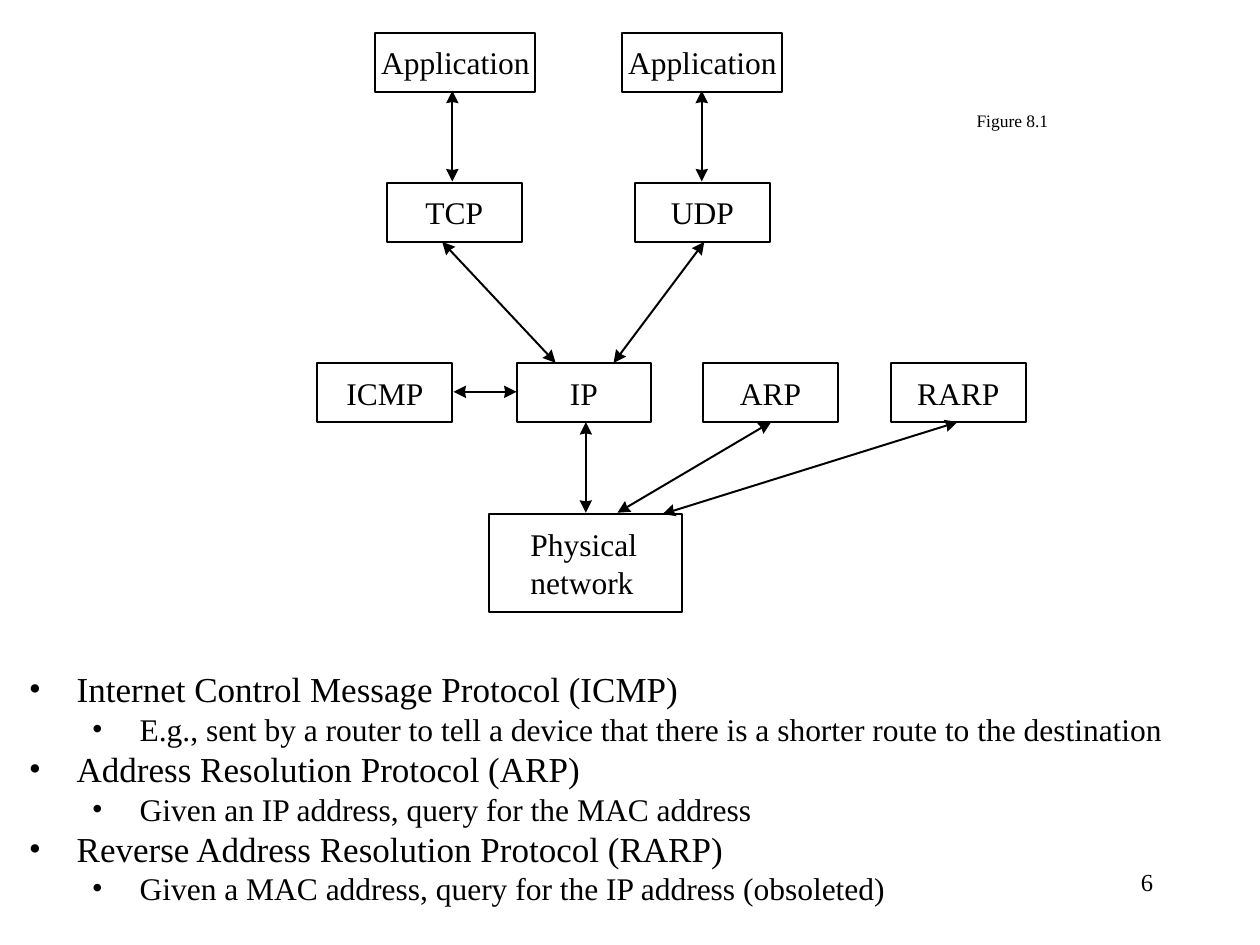
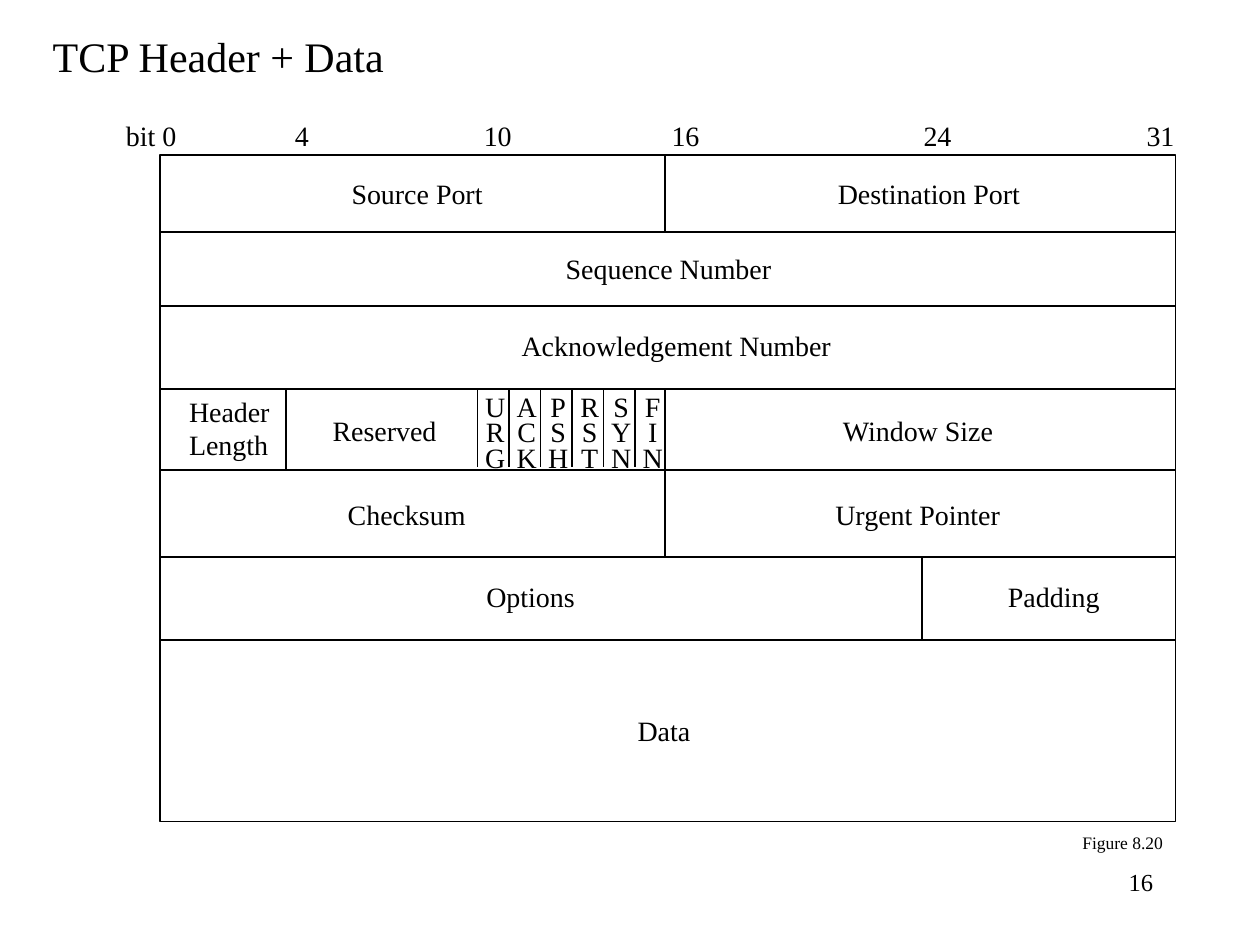
from dataclasses import dataclass
from math import hypot

from lxml.etree import SubElement
from pptx import Presentation
from pptx.dml.color import RGBColor
from pptx.enum.shapes import MSO_CONNECTOR, MSO_SHAPE
from pptx.enum.text import MSO_ANCHOR, PP_ALIGN
from pptx.oxml.ns import qn
from pptx.util import Inches, Pt


@dataclass(frozen=True)
class Theme:
    font: str = "Times New Roman"
    ink: RGBColor = RGBColor(0, 0, 0)
    title: int = 24
    topic: int = 20
    detail: int = 18
    field: int = 16
    number: int = 14
    caption: int = 10
    diagram_line: float = 1.13
    header_line: float = 1


THEME = Theme()

BOX_HEIGHT = 0.47
APPLICATION_WIDTH, PROTOCOL_WIDTH = 1.27, 1.07
APPLICATION_TOP, TRANSPORT_TOP, NETWORK_TOP = 0.26, 1.45, 2.88
PROTOCOL_BOXES = [
    ("Application", 2.98, APPLICATION_TOP, APPLICATION_WIDTH),
    ("Application", 4.94, APPLICATION_TOP, APPLICATION_WIDTH),
    ("TCP", 3.07, TRANSPORT_TOP, PROTOCOL_WIDTH),
    ("UDP", 5.04, TRANSPORT_TOP, PROTOCOL_WIDTH),
    ("ICMP", 2.52, NETWORK_TOP, PROTOCOL_WIDTH),
    ("IP", 4.1, NETWORK_TOP, PROTOCOL_WIDTH),
    ("ARP", 5.58, NETWORK_TOP, PROTOCOL_WIDTH),
    ("RARP", 7.07, NETWORK_TOP, PROTOCOL_WIDTH),
]
PHYSICAL_BOX = (3.88, 4.08, 1.53, 0.78)
PHYSICAL_INDENT = 0.33
PROTOCOL_ARROWS = [
    ((3.59, 0.72), (3.59, 1.44)),
    ((5.57, 0.72), (5.57, 1.44)),
    ((3.51, 1.92), (4.41, 2.88)),
    ((5.59, 1.92), (4.87, 2.88)),
    ((3.6, 3.11), (4.1, 3.11)),
    ((4.65, 3.35), (4.65, 4.07)),
    ((6.12, 3.35), (4.9, 4.07)),
    ((7.6, 3.35), (5.26, 4.08)),
]
HEAD_OUTLINE = [(0, 0), (0.1, 0.05), (0.09, 0), (0.1, -0.05)]
HEAD_OVERLAP = 0.08
PROTOCOL_NOTES = [
    ("Internet Control Message Protocol (ICMP)",
     "E.g., sent by a router to tell a device that there is a shorter route to the destination"),
    ("Address Resolution Protocol (ARP)",
     "Given an IP address, query for the MAC address"),
    ("Reverse Address Resolution Protocol (RARP)",
     "Given a MAC address, query for the IP address (obsoleted)"),
]

HEADER_LEFT, HEADER_RIGHT = 1.27, 9.33
HEADER_TOP, HEADER_BOTTOM = 1.23, 6.52
ROW_LINES = [1.84, 2.43, 3.09, 3.73, 4.42, 5.08]
FLAGS_TOP, FLAGS_BOTTOM = 3.09, 3.71
FLAGS = ["URG", "ACK", "PSH", "RST", "SYN", "FIN"]
FLAGS_LEFT, FLAG_PITCH = 3.79, 0.25
COLUMN_LINES = [
    (5.28, HEADER_TOP, 1.84),
    (5.28, 3.09, 4.42),
    (7.32, 4.42, 5.07),
    (2.27, FLAGS_TOP, 3.73),
]
BIT_TOP = 0.94
BIT_LABELS = [
    ("bit 0", 1, 0.5), ("4", 2.34, 0.3), ("10", 3.84, 0.3),
    ("16", 5.33, 0.3), ("24", 7.33, 0.3), ("31", 9.1, 0.3),
]
FIELD_LABELS = [
    ("Source Port", 2.79, 1.4, 1.1),
    ("Destination Port", 6.65, 1.4, 1.5),
    ("Sequence Number", 4.49, 2, 1.64),
    ("Acknowledgement Number", 4.14, 2.61, 2.47),
    ("Header\nLength", 1.5, 3.13, 0.65),
    ("Reserved", 2.64, 3.28, 0.83),
    ("Window Size", 6.69, 3.28, 1.2),
    ("Checksum", 2.76, 3.95, 0.94),
    ("Urgent Pointer", 6.63, 3.95, 1.31),
    ("Options", 3.86, 4.6, 0.71),
    ("Padding", 8, 4.6, 0.73),
    ("Data", 5.06, 5.66, 0.42),
]


def style(paragraph, size, align=PP_ALIGN.LEFT):
    paragraph.alignment = align
    paragraph.font.name = THEME.font
    paragraph.font.size = Pt(size)
    paragraph.font.color.rgb = THEME.ink


def fill_text(frame, text, size, align=PP_ALIGN.LEFT):
    frame.text = text
    for paragraph in frame.paragraphs:
        style(paragraph, size, align)


def set_insets(frame, left=0):
    frame.margin_left = Inches(left)
    frame.margin_top = frame.margin_right = frame.margin_bottom = 0


def add_text(slide, text, left, top, width, height, size, align=PP_ALIGN.LEFT):
    frame = slide.shapes.add_textbox(
        Inches(left), Inches(top), Inches(width), Inches(height)).text_frame
    frame.word_wrap = False
    fill_text(frame, text, size, align)
    return frame


def add_label(slide, text, left, top, width, align=PP_ALIGN.LEFT):
    height = 0.27 * len(text.split("\n"))
    frame = add_text(slide, text, left, top, width, height, THEME.field, align)
    set_insets(frame)
    return frame


def add_box(slide, left, top, width, height, weight):
    shape = slide.shapes.add_shape(
        MSO_SHAPE.RECTANGLE, Inches(left), Inches(top), Inches(width), Inches(height))
    shape.shadow.inherit = False
    shape.fill.background()
    shape.line.color.rgb = THEME.ink
    shape.line.width = Pt(weight)
    return shape


def add_boxed_text(slide, text, box, align=PP_ALIGN.CENTER, indent=0):
    frame = add_box(slide, *box, THEME.diagram_line).text_frame
    set_insets(frame, indent)
    frame.vertical_anchor = MSO_ANCHOR.MIDDLE
    frame.word_wrap = True
    fill_text(frame, text, THEME.detail, align)


def add_line(slide, start, end, weight):
    connector = slide.shapes.add_connector(
        MSO_CONNECTOR.STRAIGHT, *(Inches(value) for value in (*start, *end)))
    connector.line.color.rgb = THEME.ink
    connector.line.width = Pt(weight)
    SubElement(connector._element.spPr, qn("a:effectLst"))


def add_arrowhead(slide, tip, direction):
    x, y = direction
    points = [(Inches(tip[0] + along * x - across * y), Inches(tip[1] + along * y + across * x))
              for along, across in HEAD_OUTLINE]
    builder = slide.shapes.build_freeform(*points[0])
    builder.add_line_segments(points[1:], close=True)
    head = builder.convert_to_shape()
    head.shadow.inherit = False
    head.fill.solid()
    head.fill.fore_color.rgb = THEME.ink
    head.line.fill.background()


def add_double_arrow(slide, start, end):
    length = hypot(end[0] - start[0], end[1] - start[1])
    x, y = (end[0] - start[0]) / length, (end[1] - start[1]) / length
    add_line(slide, (start[0] + HEAD_OVERLAP * x, start[1] + HEAD_OVERLAP * y),
             (end[0] - HEAD_OVERLAP * x, end[1] - HEAD_OVERLAP * y), THEME.diagram_line)
    add_arrowhead(slide, start, (x, y))
    add_arrowhead(slide, end, (-x, -y))


def add_bullet(paragraph, text, level):
    paragraph.text = text
    paragraph.level = level
    properties = paragraph._p.get_or_add_pPr()
    properties.set("marL", str(Inches(0.38 + 0.5 * level)))
    properties.set("indent", str(Inches(-0.38)))
    SubElement(properties, qn("a:buFont"), typeface=THEME.font)
    SubElement(properties, qn("a:buChar"), char="•")
    style(paragraph, THEME.detail if level else THEME.topic)


def add_caption(slide, text, left, top, width):
    frame = add_text(slide, text, left, top, width, 0.27, THEME.caption, PP_ALIGN.CENTER)
    frame.vertical_anchor = MSO_ANCHOR.MIDDLE


def add_slide(presentation, number):
    slide = presentation.slides.add_slide(presentation.slide_layouts[6])
    frame = add_text(slide, number, 7.17, 6.83, 2.08, 0.5, THEME.number, PP_ALIGN.RIGHT)
    frame.word_wrap = True
    return slide


def build_protocol_slide(presentation):
    slide = add_slide(presentation, "6")
    for name, left, top, width in PROTOCOL_BOXES:
        add_boxed_text(slide, name, (left, top, width, BOX_HEIGHT))
    add_boxed_text(slide, "Physical\nnetwork", PHYSICAL_BOX, PP_ALIGN.LEFT, PHYSICAL_INDENT)
    for start, end in PROTOCOL_ARROWS:
        add_double_arrow(slide, start, end)
    add_caption(slide, "Figure 8.1", 7.65, 0.82, 0.77)

    frame = slide.shapes.add_textbox(
        Inches(0.13), Inches(5.25), Inches(9.78), Inches(2.02)).text_frame
    frame.word_wrap = True
    bullets = [(text, level) for note in PROTOCOL_NOTES for level, text in enumerate(note)]
    for index, (text, level) in enumerate(bullets):
        paragraph = frame.add_paragraph() if index else frame.paragraphs[0]
        add_bullet(paragraph, text, level)


def build_header_slide(presentation):
    slide = add_slide(presentation, "16")
    add_text(slide, "TCP Header + Data", 0.32, 0.19, 2.85, 0.5, THEME.title)
    add_box(slide, HEADER_LEFT, HEADER_TOP, HEADER_RIGHT - HEADER_LEFT,
            HEADER_BOTTOM - HEADER_TOP, THEME.header_line)
    for row in ROW_LINES:
        add_line(slide, (HEADER_LEFT, row), (HEADER_RIGHT, row), THEME.header_line)
    for column, top, bottom in COLUMN_LINES:
        add_line(slide, (column, top), (column, bottom), THEME.header_line)
    for text, left, width in BIT_LABELS:
        add_label(slide, text, left, BIT_TOP, width)
    for label in FIELD_LABELS:
        add_label(slide, *label)
    for index, flag in enumerate(FLAGS):
        left = FLAGS_LEFT + index * FLAG_PITCH
        add_line(slide, (left, FLAGS_TOP), (left, FLAGS_BOTTOM), THEME.header_line)
        frame = add_label(slide, "\n".join(flag), left + 0.05, 3.15, 0.18, PP_ALIGN.CENTER)
        for paragraph in frame.paragraphs:
            paragraph.line_spacing = Pt(14.7)
    add_caption(slide, "Figure 8.20", 8.49, 6.55, 0.84)


def main():
    presentation = Presentation()
    presentation.slide_width = Inches(10)
    presentation.slide_height = Inches(7.5)
    build_protocol_slide(presentation)
    build_header_slide(presentation)
    presentation.save("out.pptx")


if __name__ == "__main__":
    main()
